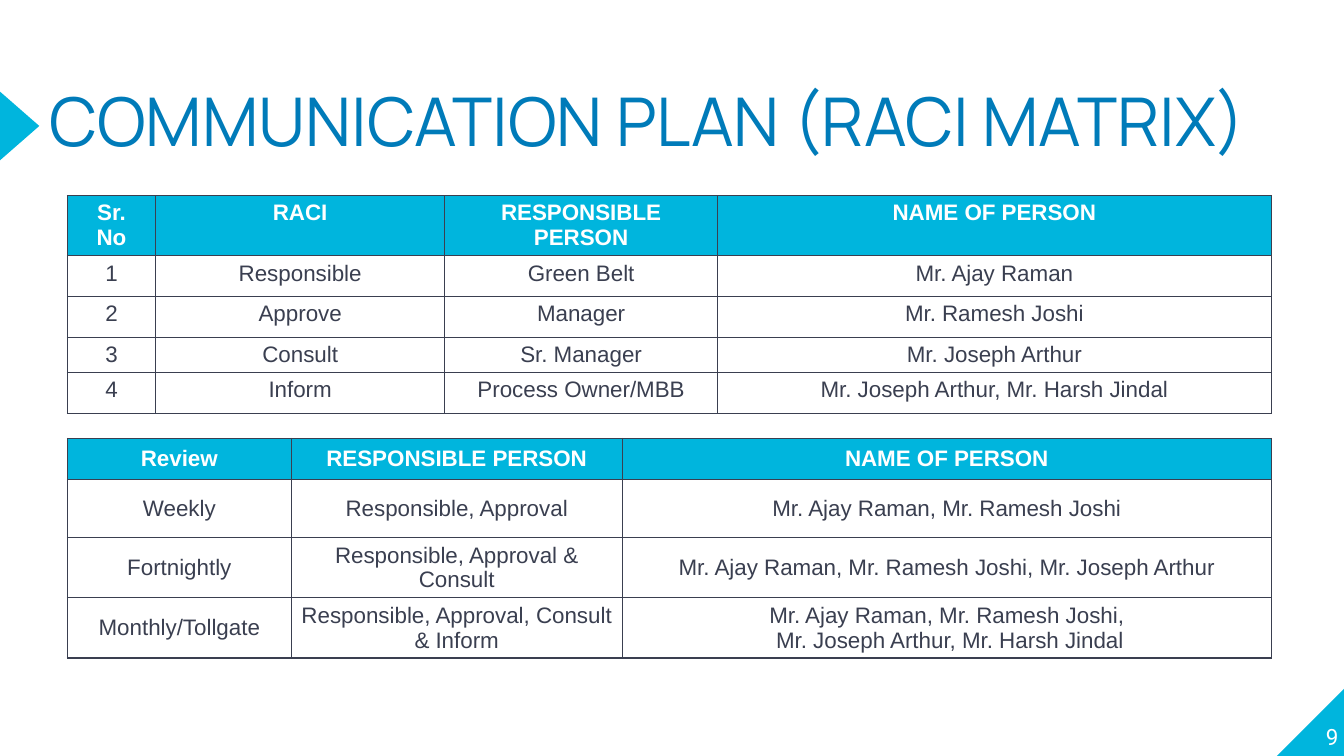
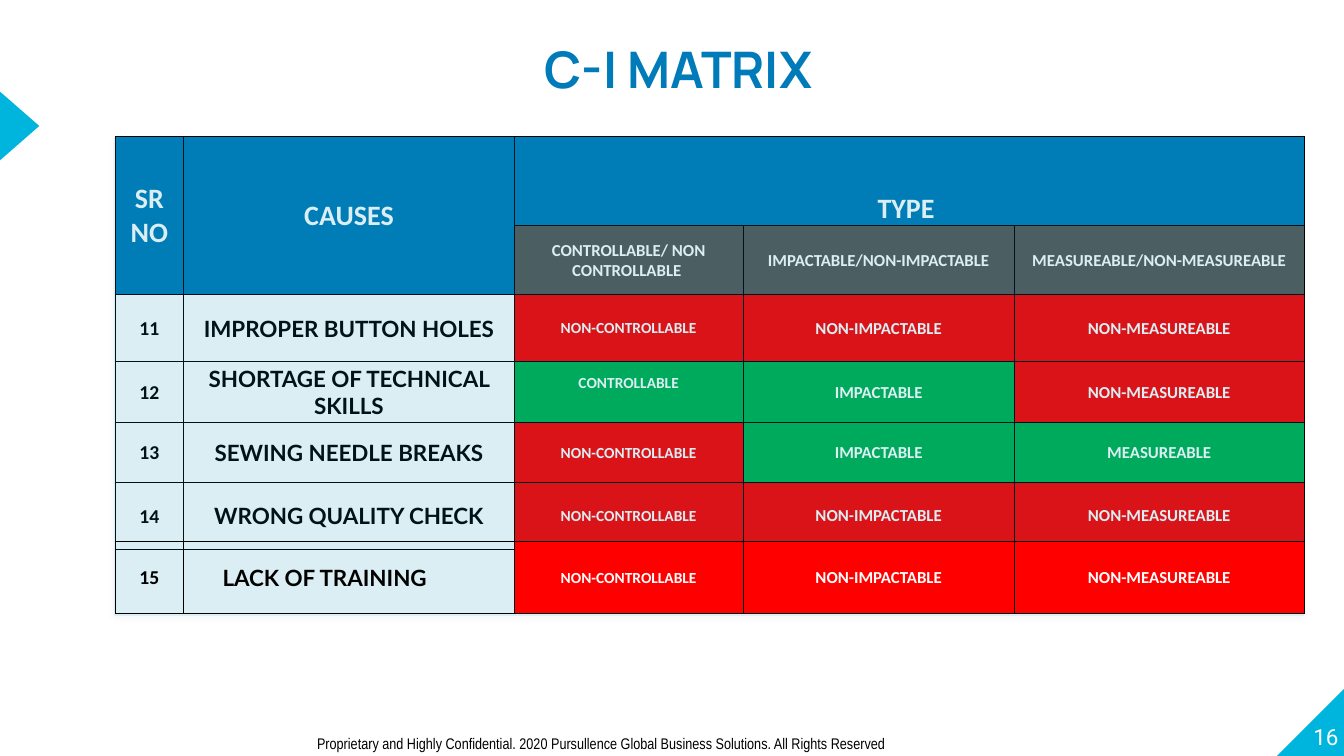
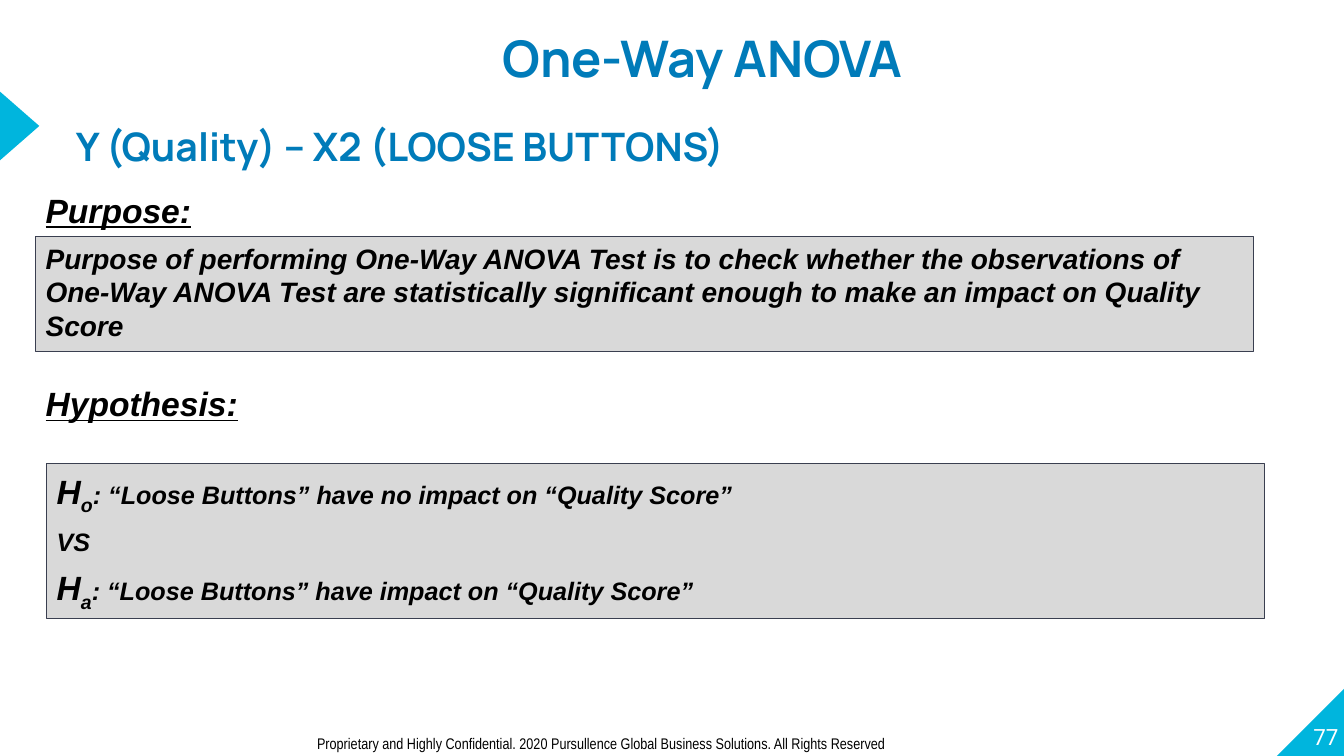
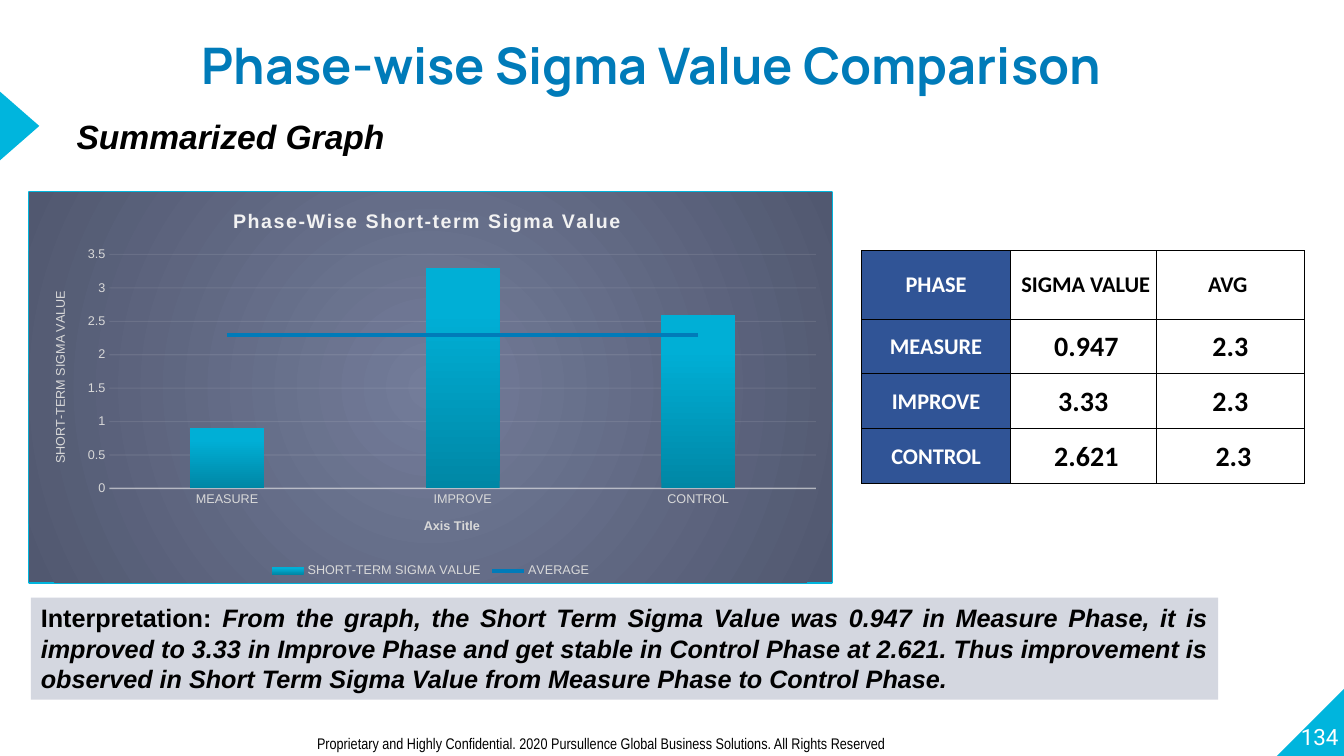
"""Build four slides of a quality improvement project review."""
import pptx
import pptx.chart.data
import pptx.dml.color
import pptx.enum.chart
import pptx.enum.shapes
import pptx.enum.text
import pptx.oxml
import pptx.oxml.ns
import pptx.util

Cm = pptx.util.Cm
Pt = pptx.util.Pt
qn = pptx.oxml.ns.qn
Align = pptx.enum.text.PP_ALIGN
Anchor = pptx.enum.text.MSO_ANCHOR
Shape = pptx.enum.shapes.MSO_SHAPE

CYAN, BLUE, NAVY, INK = "00B5DD", "007BB9", "305496", "3A3F50"
BLACK, WHITE, SILVER, PALE = "000000", "FFFFFF", "D9D9D9", "F2F2F2"
RED, GREEN, GREY, LILAC = "FF0000", "00B050", "595959", "D4D7E0"

TITLE = {"name": "Manrope", "size": 36, "bold": True, "color": BLUE}
NUMBER = {"name": "Roboto", "size": 16, "color": WHITE}
FOOTER = {"name": "Arial Narrow", "size": 11, "color": BLACK}
BODY = {"name": "Arial", "size": 18, "bold": True, "italic": True, "color": BLACK}
HEADING = {**BODY, "size": 24}
LABEL = {**HEADING, "underline": True}
PLAIN = {"name": "Arial", "size": 16, "bold": False, "color": INK}
PLAIN_HEAD = {**PLAIN, "bold": True, "color": WHITE}
GRID = {"name": "Calibri", "size": 20, "bold": True, "color": BLACK}
GRID_HEAD = {**GRID, "color": WHITE}
CHART = {"name": "Arial", "size": 9, "bold": False, "color": SILVER}

FLUSH = (0, 0, 0, 0)
INSET = (0.25, 0.13, 0.25, 0.13)
TOP_INSET = (0.25, 0.13, 0.25, 0.03)
SLIM_INSET = (0.25, 0.08, 0.25, 0.08)
TIGHT = (0.03, 0.03, 0.03, 0)
SIDES = ("margin_left", "margin_top", "margin_right", "margin_bottom")


def rgb(value):
    return pptx.dml.color.RGBColor.from_string(value)


def xml(tag, inside, attributes=""):
    return pptx.oxml.parse_xml(
        f'<{tag} {pptx.oxml.ns.nsdecls("a", "c")} {attributes}>{inside}</{tag}>')


def paint(fill, value, opacity=100):
    fill.solid()
    fill.fore_color.rgb = rgb(value)
    if opacity < 100:
        colour = next(fill._xPr.iter(qn("a:srgbClr")))
        colour.append(xml("a:alpha", "", f'val="{opacity * 1000}"'))


def gradient(stops, direction):
    marks = "".join(f'<a:gs pos="{place * 1000}"><a:srgbClr val="{value}"/></a:gs>'
                    for place, value in stops)
    return xml("a:gradFill", f"<a:gsLst>{marks}</a:gsLst>{direction}")


def style_font(font, values):
    for key, value in values.items():
        if key == "color":
            font.color.rgb = rgb(value)
        elif key in ("baseline", "spc"):
            font._rPr.set(key, str(value))
        else:
            setattr(font, key, Pt(value) if key == "size" else value)


def write(frame, text, style, **layout):
    lines = [[(line, {})] for line in text.split("\n")] if isinstance(text, str) else text
    for index, spans in enumerate(lines):
        para = frame.add_paragraph() if index else frame.paragraphs[0]
        for key, value in layout.items():
            if index or key != "space_before":
                setattr(para, key, value)
        for words, change in spans:
            span = para.add_run()
            span.text = words
            style_font(span.font, {**style, **change})


def set_margins(target, margins):
    for side, value in zip(SIDES, margins):
        setattr(target, side, Cm(value))


class Slides:
    def __init__(self):
        self.deck = pptx.Presentation()
        self.deck.slide_width, self.deck.slide_height = Cm(33.87), Cm(19.05)
        self.page = None

    def start(self, number, footer=True):
        self.page = self.deck.slides.add_slide(self.deck.slide_layouts[6])
        self.shape(32.18, 17.32, 1.73, 1.73, CYAN, Shape.RIGHT_TRIANGLE).rotation = 270
        self.shape(-0.37, 2.68, 1.73, 0.99, CYAN, Shape.ISOSCELES_TRIANGLE).rotation = 90
        self.text(32.03, 17.17, 1.7, 1.73, str(number), NUMBER, FLUSH, Anchor.BOTTOM,
                  alignment=Align.RIGHT)
        if footer:
            self.text(7.74, 18.37, 21.62, 0.74, "Proprietary and Highly Confidential. 2020 "
                      "Pursullence Global Business Solutions. All Rights Reserved", FOOTER)

    def title(self, left, top, text):
        self.text(left, top, 24.66, 1.93, text, TITLE, FLUSH,
                  alignment=Align.CENTER, line_spacing=1.5)

    def text(self, left, top, width, height, text, style, margins=INSET,
             anchor=Anchor.TOP, **layout):
        box = self.page.shapes.add_textbox(Cm(left), Cm(top), Cm(width), Cm(height))
        self.fill_frame(box.text_frame, text, style, margins, anchor, layout)

    def fill_frame(self, frame, text, style, margins, anchor, layout):
        frame.word_wrap = True
        frame.vertical_anchor = anchor
        set_margins(frame, margins)
        write(frame, text, style, **layout)

    def shape(self, left, top, width, height, fill, kind=Shape.RECTANGLE, opacity=100,
              line=None, weight=0.75):
        shape = self.page.shapes.add_shape(kind, Cm(left), Cm(top), Cm(width), Cm(height))
        shape.shadow.inherit = False
        paint(shape.fill, fill, opacity)
        if line:
            paint(shape.line.fill, line)
            shape.line.width = Pt(weight)
        else:
            shape.line.fill.background()
        return shape

    def panel(self, left, top, width, height, fill, text, style, line=None, **layout):
        panel = self.shape(left, top, width, height, fill, line=line)
        layout = {"alignment": Align.LEFT, **layout}
        self.fill_frame(panel.text_frame, text, style, INSET, Anchor.TOP, layout)

    def table(self, left, top, widths, heights, rows, look, line, weight=0.5,
              margins=TIGHT, anchor=Anchor.MIDDLE):
        table = self.page.shapes.add_table(
            len(heights), len(widths), Cm(left), Cm(top),
            Cm(sum(widths)), Cm(sum(heights))).table
        table.first_row = table.horz_banding = False
        for column, width in zip(table.columns, widths):
            column.width = Cm(width)
        for row, height in zip(table.rows, heights):
            row.height = Cm(height)
        for y, row in enumerate(rows):
            for x, text in enumerate(row):
                cell = table.cell(y, x)
                fill, style = look(y, x, text)
                cell.vertical_anchor = anchor
                set_margins(cell, margins)
                if fill:
                    paint(cell.fill, fill)
                else:
                    cell.fill.background()
                self.border(cell, line, weight)
                if text:
                    write(cell.text_frame, text, style, alignment=Align.CENTER)
        return table

    def border(self, cell, line, weight):
        properties = cell._tc.get_or_add_tcPr()
        for place, side in enumerate("LRTB"):
            properties.insert(place, xml(
                f"a:ln{side}", f'<a:solidFill><a:srgbClr val="{line}"/></a:solidFill>',
                f'w="{Pt(weight)}"'))

    def combined_chart(self, left, top, width, height, heading, categories, bars, average):
        data = pptx.chart.data.CategoryChartData()
        data.categories = categories
        for name, values in (bars, average):
            data.add_series(name, values)
        chart = self.page.shapes.add_chart(
            pptx.enum.chart.XL_CHART_TYPE.COLUMN_CLUSTERED,
            Cm(left), Cm(top), Cm(width), Cm(height), data).chart
        style_font(chart.font, CHART)
        chart.has_title = True
        write(chart.chart_title.text_frame, heading,
              {**CHART, "size": 14, "bold": True, "color": PALE, "spc": 100})
        chart.has_legend = True
        chart.legend.position = pptx.enum.chart.XL_LEGEND_POSITION.BOTTOM
        chart.legend.include_in_layout = False
        style_font(chart.legend.font, CHART)
        self.split_line(chart)
        self.style_axes(chart)
        self.style_chart_fills(chart)

    def split_line(self, chart):
        plot = chart.plots[0]
        plot.gap_width = 219
        plot.vary_by_categories = False
        bars = plot._element
        moved = plot.series[1]._element
        for item in moved.findall(qn("c:invertIfNegative")):
            moved.remove(item)
        axes = "".join(f'<c:axId val="{axis.get("val")}"/>'
                       for axis in bars.findall(qn("c:axId")))
        lines = xml("c:lineChart", '<c:grouping val="standard"/><c:varyColors val="0"/>'
                    f'<c:marker val="1"/>{axes}')
        lines.insert(2, moved)
        bars.addnext(lines)
        series = chart.plots[1].series[0]
        series.smooth = False
        series.marker.style = pptx.enum.chart.XL_MARKER_STYLE.NONE
        paint(series.format.line.fill, BLUE)
        series.format.line.width = Pt(2.75)

    def style_axes(self, chart):
        value, category = chart.value_axis, chart.category_axis
        titles = ((value, "SHORT-TERM SIGMA VALUE", False), (category, "Axis Title", True))
        for axis, title, bold in titles:
            for kind in ("major_tick_mark", "minor_tick_mark"):
                setattr(axis, kind, pptx.enum.chart.XL_TICK_MARK.NONE)
            style_font(axis.tick_labels.font, CHART)
            axis.has_title = True
            write(axis.axis_title.text_frame, title, {**CHART, "bold": bold})
        value.axis_title.text_frame._txBody.bodyPr.set("rot", "-5400000")
        value.minimum_scale, value.maximum_scale, value.major_unit = 0, 3.5, 0.5
        value.format.line.fill.background()
        grid = value.major_gridlines.format.line
        for line, weight, opacity in ((grid, 0.75, 10), (category.format.line, 1, 54)):
            paint(line.fill, PALE, opacity)
            line.width = Pt(weight)

    def style_chart_fills(self, chart):
        bars = chart.plots[0].series[0]._element.get_or_add_spPr()
        bars.insert(0, gradient([(0, "0087A5"), (80, "00AFD6"), (100, "00B0D7")],
                                '<a:lin ang="16200000" scaled="0"/>'))
        space = chart._chartSpace
        back = xml("c:spPr", "<a:ln><a:noFill/></a:ln>")
        back.insert(0, gradient(
            [(0, "737C99"), (100, "515870")],
            '<a:path path="circle"><a:fillToRect l="50000" t="50000" r="50000" b="50000"/>'
            '</a:path>'))
        space.find(qn("c:txPr")).addprevious(back)
        area = space.chart.plotArea
        for item in area.findall(qn("c:layout")):
            area.remove(item)
        places = "".join(f'<c:{key} val="{value}"/>' for key, value in (
            ("layoutTarget", "inner"), ("xMode", "edge"), ("yMode", "edge"),
            ("x", 0.1), ("y", 0.16), ("w", 0.88), ("h", 0.6)))
        area.insert(0, xml("c:layout", f"<c:manualLayout>{places}</c:manualLayout>"))


def communication_plan(slides):
    slides.start(9, footer=False)
    slides.text(1.24, 2.26, 32.18, 1.9, "COMMUNICATION PLAN (RACI MATRIX)",
                {**TITLE, "size": 48, "bold": False}, FLUSH, Anchor.MIDDLE, line_spacing=0.8)

    def look(y, x, text):
        return (None, PLAIN) if y else (CYAN, PLAIN_HEAD)

    slides.table(1.7, 4.93, (2.22, 7.29, 6.87, 13.96), (1.51, 1.03, 1.03, 0.88, 1.03), [
        ("Sr.\nNo", "RACI", "RESPONSIBLE PERSON", "NAME OF PERSON"),
        ("1", "Responsible", "Green Belt", "Mr. Ajay Raman"),
        ("2", "Approve", "Manager", "Mr. Ramesh Joshi"),
        ("3", "Consult", "Sr. Manager", "Mr. Joseph Arthur"),
        ("4", "Inform", "Process Owner/MBB", "Mr. Joseph Arthur, Mr. Harsh Jindal"),
    ], look, INK, 1, TOP_INSET, Anchor.TOP)
    slides.table(1.7, 11.05, (5.64, 8.34, 16.36), (1.04, 1.46, 1.51, 1.51), [
        ("Review", "RESPONSIBLE PERSON", "NAME OF PERSON"),
        ("Weekly", "Responsible, Approval", "Mr. Ajay Raman, Mr. Ramesh Joshi"),
        ("Fortnightly", "Responsible, Approval & Consult",
         "Mr. Ajay Raman, Mr. Ramesh Joshi, Mr. Joseph Arthur"),
        ("Monthly/Tollgate", "Responsible, Approval, Consult & Inform",
         "Mr. Ajay Raman, Mr. Ramesh Joshi,\n Mr. Joseph Arthur, Mr. Harsh Jindal"),
    ], look, INK, 1, SLIM_INSET)


def cause_matrix(slides):
    slides.start(16)
    slides.title(4.77, 0.19, "C-I MATRIX")
    widths = (1.73, 8.33, 5.77, 6.83, 7.31)
    sizes = (14, 16, 11, 12, 12)

    def verdict(y, x, text):
        style = {**GRID, "size": sizes[x]}
        if x < 2:
            return None, {**style, "name": "Lato" if x else "Calibri"}
        return RED if text.startswith("NON") else GREEN, {**style, "color": WHITE}

    def look(y, x, text):
        if y == 0 or (y == 1 and x < 2):
            return BLUE, GRID_HEAD
        if y == 1:
            return GREY, {**GRID_HEAD, "size": 12}
        return verdict(y, x, text)

    no_control, no_impact, no_measure = "NON-CONTROLLABLE", "NON-IMPACTABLE", "NON-MEASUREABLE"
    matrix = slides.table(2.9, 3.43, widths, (2.26, 1.71, 1.69, 1.54, 1.51, 1.68), [
        ("SR\nNO", "CAUSES", "TYPE ", "", ""),
        ("", "", "CONTROLLABLE/ NON CONTROLLABLE ", "IMPACTABLE/NON-IMPACTABLE",
         "MEASUREABLE/NON-MEASUREABLE"),
        ("11", "IMPROPER BUTTON HOLES", no_control, no_impact, no_measure),
        ("12", "SHORTAGE OF TECHNICAL SKILLS", "CONTROLLABLE", "IMPACTABLE", no_measure),
        ("13", "SEWING NEEDLE BREAKS", no_control, "IMPACTABLE", "MEASUREABLE"),
        ("14", "WRONG QUALITY CHECK", no_control, no_impact, no_measure),
    ], look, BLACK)
    for first, last in (((0, 0), (1, 0)), ((0, 1), (1, 1)), ((0, 2), (0, 4))):
        matrix.cell(*first).merge(matrix.cell(*last))
    matrix.cell(0, 2).vertical_anchor = Anchor.BOTTOM
    matrix.cell(3, 2).margin_bottom = Cm(0.47)

    tint = slides.shape(2.87, 3.45, 30, 12.07, CYAN, opacity=11)
    tint._element.spPr.find(qn("a:effectLst")).append(xml(
        "a:outerShdw", '<a:srgbClr val="000000"><a:alpha val="32000"/></a:srgbClr>',
        f'blurRad="{Pt(3.5)}" dist="{Pt(2.2)}" dir="5400000" rotWithShape="0"'))

    last_cause = slides.table(2.9, 13.64, widths, (1.81,), [
        ("15", "LACK OF TRAINING", no_control, no_impact, no_measure)], verdict, BLACK)
    training = last_cause.cell(0, 1)
    training.margin_left = Cm(0.98)
    training.text_frame.paragraphs[0].alignment = Align.LEFT


def one_way_anova(slides):
    slides.start(77)
    slides.title(5.37, -0.08, "One-Way ANOVA")
    slides.text(1.91, 2.49, 17.15, 1.55, "Y (Quality) – X2 (LOOSE BUTTONS)",
                {**TITLE, "size": 28}, FLUSH, line_spacing=1.5)
    for top, label in ((4.66, "Purpose:"), (9.53, "Hypothesis:")):
        slides.text(0.9, top, 19.3, 1.27, label, LABEL)
    slides.panel(0.9, 5.95, 30.68, 2.92, SILVER,
                 "Purpose of performing One-Way ANOVA Test is to check whether the observations "
                 "of One-Way ANOVA Test are statistically significant enough to make an impact "
                 "on Quality Score", {**BODY, "size": 20}, INK)
    large, low = {"size": 24}, {"size": 24, "baseline": -25000}
    slides.panel(1.18, 11.67, 30.68, 3.91, SILVER, [
        [("H", large), ("o", low), (": “Loose Buttons” have no impact on “Quality Score”", {})],
        [("VS", {})],
        [("H", large), ("a", low), (": “Loose Buttons” have impact on “Quality Score”", {})],
    ], BODY, INK, line_spacing=1.05, space_before=Pt(6))


def sigma_comparison(slides):
    slides.start(134)
    slides.title(4.09, 0.1, "Phase-wise Sigma Value Comparison")
    slides.text(1.68, 2.79, 13.89, 1.27, "Summarized Graph", HEADING)

    def look(y, x, text):
        style = {**GRID, "size": 20 if x and y else 16}
        return (None, style) if x else (NAVY, {**style, "color": WHITE})

    rows = [
        ("PHASE", " SIGMA VALUE", "AVG "),
        ("MEASURE", " 0.947", "2.3"),
        ("IMPROVE", "3.33", "2.3"),
        ("CONTROL", " 2.621", " 2.3"),
    ]
    slides.table(21.71, 6.31, (3.76, 3.66, 3.75), (1.73, 1.38, 1.38, 1.38), rows, look, BLACK)

    frame = (0.73, 4.84, 20.24, 9.83)
    slides.shape(*frame, WHITE, line=CYAN, weight=2)
    slides.combined_chart(*frame, "Phase-Wise Short-term Sigma Value ",
                          [row[0] for row in rows[1:]],
                          ("SHORT-TERM SIGMA VALUE ", (0.9, 3.3, 2.6)),
                          ("AVERAGE", (2.3, 2.3, 2.3)))
    slides.panel(0.78, 15.06, 29.92, 2.57, LILAC, [[
        ("Interpretation: ", {"italic": False}),
        ("From the graph, the Short Term Sigma Value was 0.947 in Measure Phase, it is improved "
         "to 3.33 in Improve Phase and get stable in Control Phase at 2.621. Thus improvement "
         "is observed in Short Term Sigma Value from Measure Phase to Control Phase.", {}),
    ]], BODY, alignment=Align.JUSTIFY)


def main():
    slides = Slides()
    for build in (communication_plan, cause_matrix, one_way_anova, sigma_comparison):
        build(slides)
    slides.deck.save("out.pptx")


if __name__ == "__main__":
    main()
